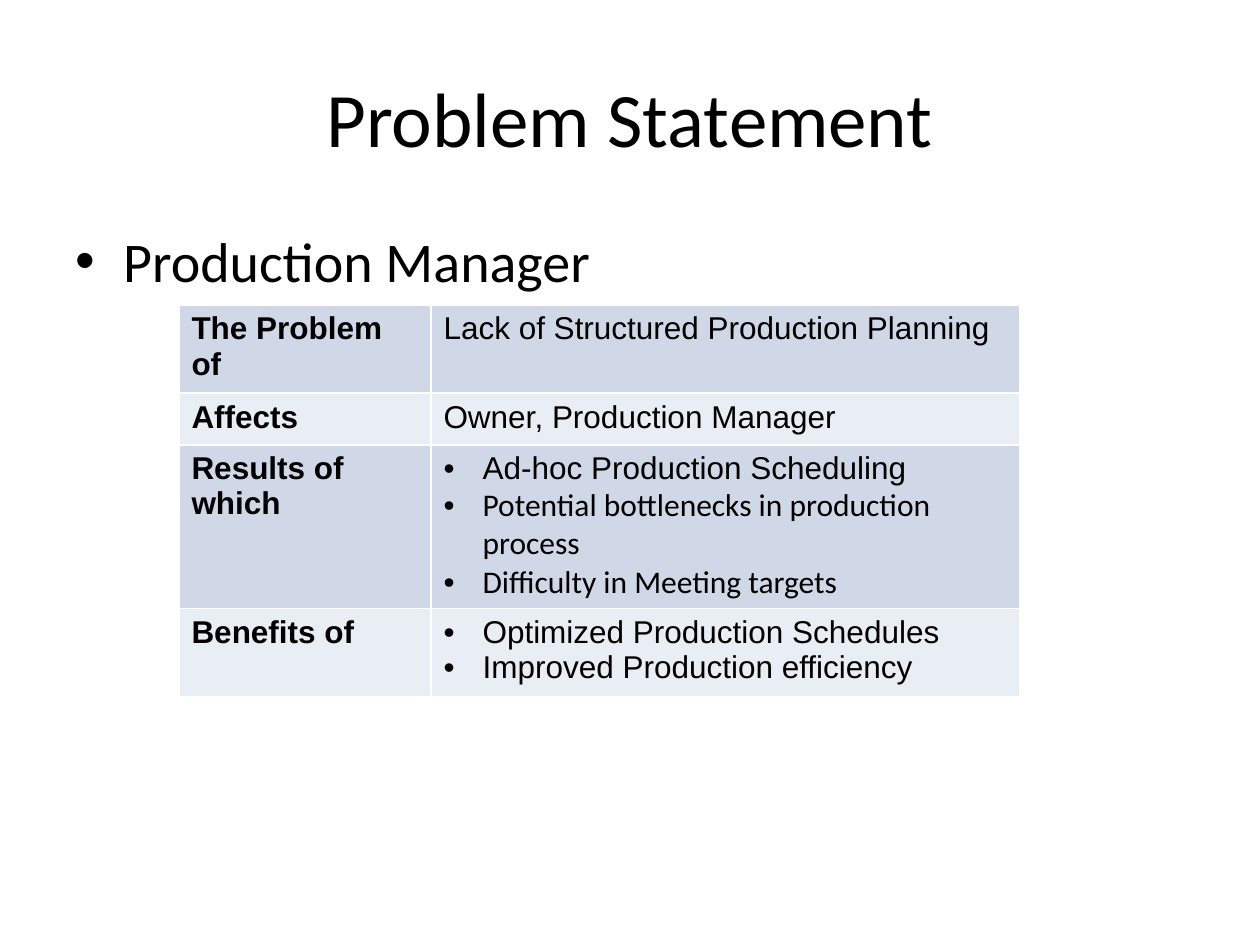
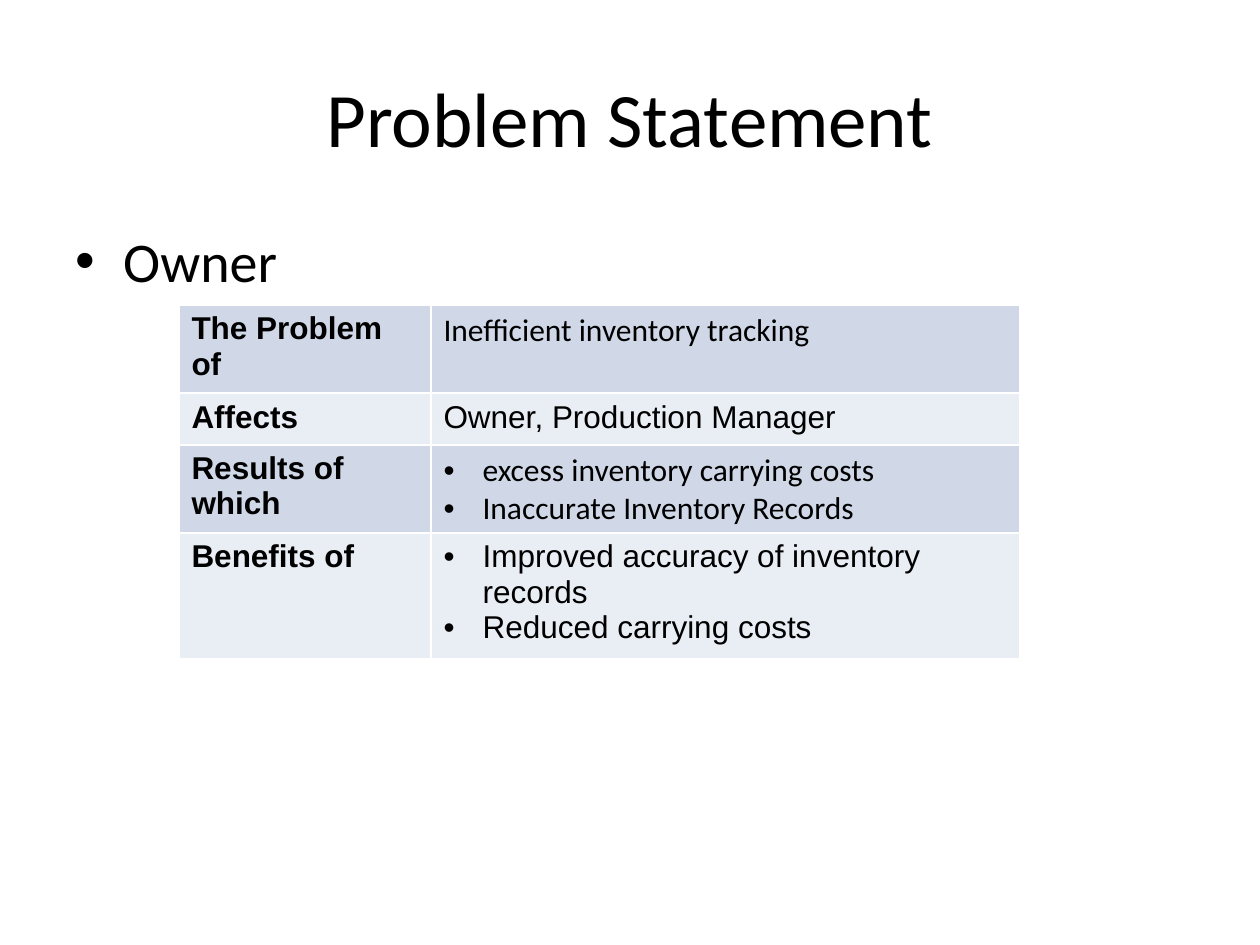
from lxml import etree
from pptx import Presentation, util as u
from pptx.dml.color import RGBColor
from pptx.enum import text as t
from pptx.oxml import ns

# Content: each answer is a list of (text, font); several answers become bullets
TITLE = "Problem Statement"
LABELS = ["The Problem of", "Affects", "Results of which", "Benefits of"]
SANS, BODY = "Arial", "Calibri"
ROLES = [
    ("Production Manager", [
        [("Lack of Structured Production Planning", SANS)],
        [("Owner, Production Manager", SANS)],
        [("Ad-hoc Production Scheduling", SANS),
         ("Potential bottlenecks in production process", BODY),
         ("Difficulty in Meeting targets", BODY)],
        [("Optimized Production Schedules", SANS),
         ("Improved Production efficiency", SANS)],
    ]),
    ("Owner", [
        [("Inefficient inventory tracking", BODY)],
        [("Owner, Production Manager", SANS)],
        [("excess inventory carrying costs", BODY),
         ("Inaccurate Inventory Records", BODY)],
        [("Improved accuracy of inventory records", SANS),
         ("Reduced carrying costs", SANS)],
    ]),
]

# Shared style
COLORS = {"text": "000000", "line": "FFFFFF", "odd": "D0D8E8", "even": "E9EDF4"}
TITLE_BOX = (0.5, 0.3, 9, 1.25)
ROLE_BOX = (0.5, 1.75, 9, 4.95)
GRID_AT = (1.42, 2.42)
COLS = (2, 4.67)
ROW = 0.41


def rgb(name):
    return RGBColor.from_string(COLORS[name])


def add(parent, tag, **attrs):
    """Append a drawing element to its parent."""
    node = etree.SubElement(parent, ns.qn(tag))
    for key, val in attrs.items():
        node.set(key, str(val))
    return node


def write(frame, lines, size=18, bold=False, align=t.PP_ALIGN.LEFT,
          indent=0, before=0):
    """Fill a frame with (text, font) lines; an indent makes them bullets."""
    frame.word_wrap = True
    for i, (words, font) in enumerate(lines):
        para = frame.add_paragraph() if i else frame.paragraphs[0]
        para.alignment = align
        run = para.add_run()
        run.text = words
        run.font.name, run.font.size, run.font.bold = font, u.Pt(size), bold
        run.font.color.rgb = rgb("text")
        props = para._p.get_or_add_pPr()
        if before:
            add(add(props, "a:spcBef"), "a:spcPct", val=before * 1000)
        if indent:
            props.set("marL", str(u.Inches(indent)))
            props.set("indent", str(-u.Inches(indent)))
            add(props, "a:buFont", typeface=SANS)
            add(props, "a:buChar", char="•")


def paint(cell, fill):
    """Give a cell its border and fill."""
    props = cell._tc.get_or_add_tcPr()
    for side in "LRTB":
        line = add(props, "a:ln" + side, w=u.Pt(1))
        add(add(line, "a:solidFill"), "a:srgbClr", val=COLORS["line"])
    cell.fill.solid()
    cell.fill.fore_color.rgb = rgb(fill)


def add_grid(slide, answers):
    """Draw the labelled table of answers."""
    size = (sum(COLS), ROW * len(LABELS))
    grid = slide.shapes.add_table(len(LABELS), len(COLS),
                                  *map(u.Inches, GRID_AT + size)).table
    grid.first_row = grid.horz_banding = False
    for col, width in zip(grid.columns, COLS):
        col.width = u.Inches(width)
    for i, (label, lines) in enumerate(zip(LABELS, answers)):
        left, right = grid.cell(i, 0), grid.cell(i, 1)
        write(left.text_frame, [(label, SANS)], bold=True)
        write(right.text_frame, lines, indent=0.31 if len(lines) > 1 else 0)
        for cell in (left, right):
            paint(cell, "even" if i % 2 else "odd")


def add_slide(deck, role, answers):
    slide = deck.slides.add_slide(deck.slide_layouts[5])
    # Title
    head = slide.shapes.title
    head.left, head.top, head.width, head.height = map(u.Inches, TITLE_BOX)
    head.text_frame.vertical_anchor = t.MSO_ANCHOR.MIDDLE
    write(head.text_frame, [(TITLE, BODY)], size=44, align=t.PP_ALIGN.CENTER)
    # Role
    box = slide.shapes.add_textbox(*map(u.Inches, ROLE_BOX))
    write(box.text_frame, [(role, BODY)], size=32, indent=0.38, before=20)
    # Table
    add_grid(slide, answers)


def main():
    deck = Presentation()
    deck.slide_width, deck.slide_height = u.Inches(10), u.Inches(7.5)
    for role, answers in ROLES:
        add_slide(deck, role, answers)
    deck.save("out.pptx")


if __name__ == "__main__":
    main()
